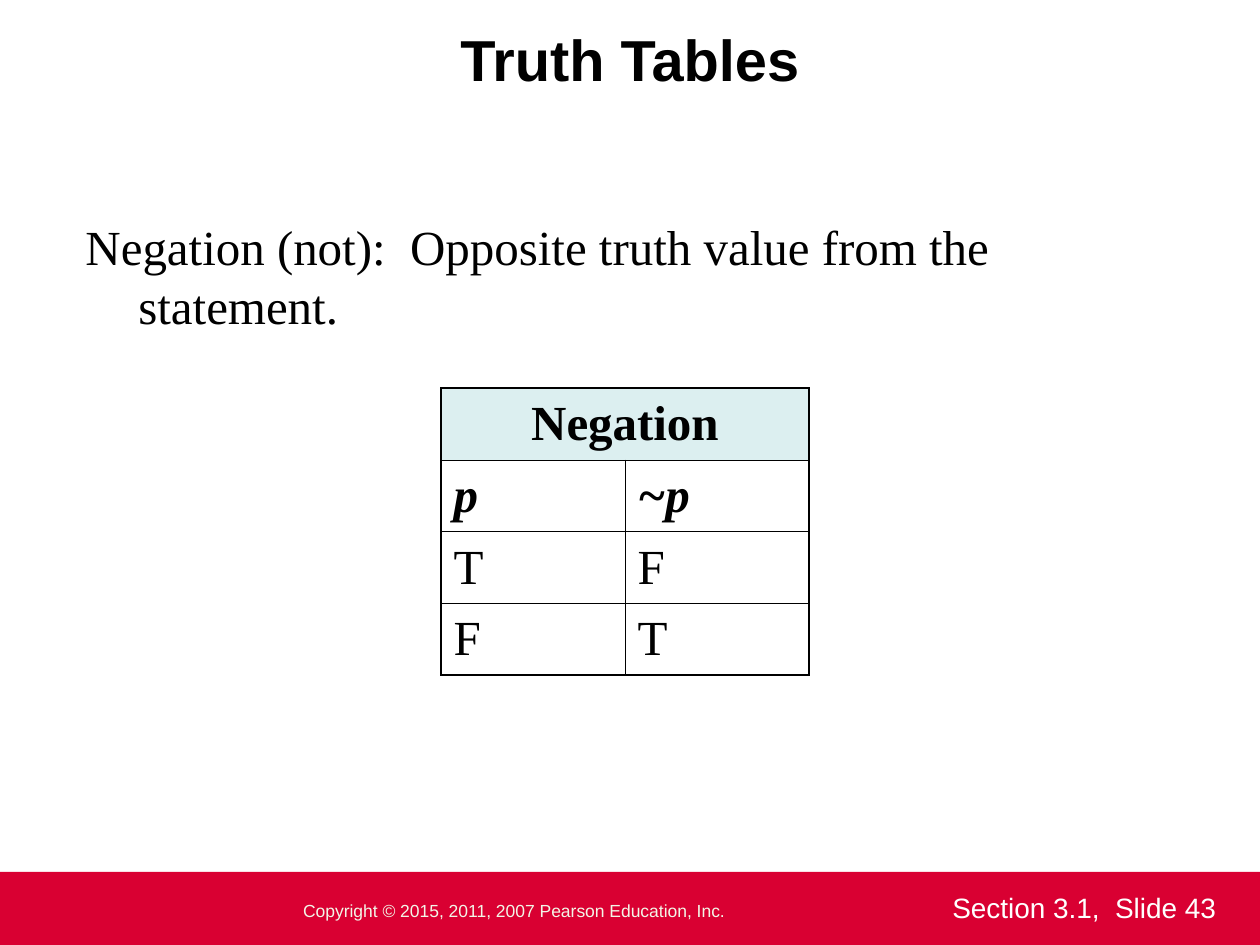
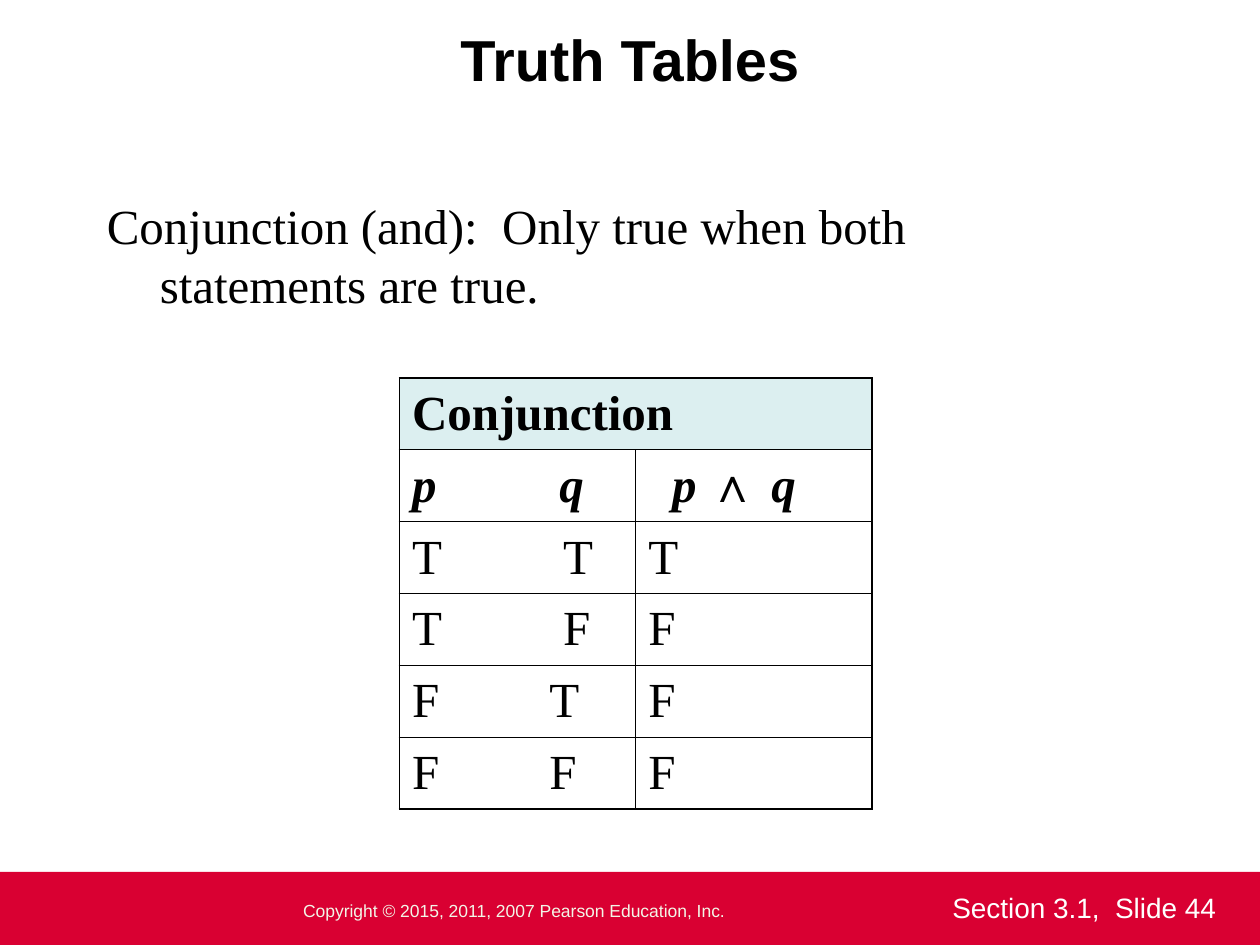
from dataclasses import dataclass

from lxml import etree
from pptx import Presentation
from pptx import util as u
from pptx.dml.color import RGBColor
from pptx.enum import shapes, text
from pptx.oxml import ns


@dataclass(frozen=True)
class Theme:
    band: str = "D90032"
    header: str = "BBE0E3"
    ink: str = "000000"
    white: str = "FFFFFF"
    copyright: str = "F3F5E7"
    sans: str = "Arial"
    serif: str = "Times New Roman"
    title_pt: int = 33
    body_pt: int = 28
    section_pt: int = 16
    copyright_pt: int = 10
    outer_pt: float = 1.08
    inner_pt: float = 0.45


th = Theme()


def style(p, font, size, color, bold=False, italic=False):
    for r in p.runs:
        r.font.name = font
        r.font.size = u.Pt(size)
        r.font.color.rgb = RGBColor.from_string(color)
        r.font.bold = bold
        r.font.italic = italic


def add_text(s, box, content, font, size, color, bold=False):
    sp = s.shapes.add_textbox(*[u.Inches(v) for v in box])
    tf = sp.text_frame
    tf.word_wrap = True
    tf.text = content
    style(tf.paragraphs[0], font, size, color, bold)
    return sp


slides = [
    dict(
        number=43,
        body="Negation (not):  Opposite truth value from the statement.",
        body_box=(0.58, 1.67, 7.75, 2.73),
        table_at=(3.5, 3.08),
        table_width=2.92,
        heading="Negation",
        heading_align=text.PP_ALIGN.CENTER,
        rows=[("p", "~p"), ("T", "F"), ("F", "T")],
    ),
    dict(
        number=44,
        body="Conjunction (and):  Only true when both statements are true.",
        body_box=(0.75, 1.5, 7.92, 1.42),
        table_at=(3.17, 3),
        table_width=3.75,
        heading="Conjunction",
        heading_align=text.PP_ALIGN.LEFT,
        rows=[("p\tq", "p ∧ q"), ("T\tT", "T"), ("T\tF", "F"), ("F\tT", "F"), ("F\tF", "F")],
    ),
]
row_height = 0.57
tab_stops = {"p": 1.17, "T": 1.2, "F": 1.09}

prs = Presentation()
prs.slide_width = u.Inches(10)
prs.slide_height = u.Inches(7.5)

for item in slides:
    s = prs.slides.add_slide(prs.slide_layouts[6])

    band = s.shapes.add_shape(
        shapes.MSO_SHAPE.RECTANGLE, 0, u.Inches(6.92), prs.slide_width, u.Inches(0.58)
    )
    band.shadow.inherit = False
    band.fill.solid()
    band.fill.fore_color.rgb = RGBColor.from_string(th.band)
    band.line.fill.background()

    notice = add_text(
        s, (2, 7.06, 3.75, 0.34), "Copyright © 2015, 2011, 2007 Pearson Education, Inc.",
        th.sans, th.copyright_pt, th.copyright,
    )
    tf = notice.text_frame
    tf.margin_left = tf.margin_right = tf.margin_top = tf.margin_bottom = 0
    tf.vertical_anchor = text.MSO_ANCHOR.MIDDLE
    tf.paragraphs[0].alignment = text.PP_ALIGN.RIGHT

    add_text(
        s, (7.46, 7.02, 2.5, 0.25), f"Section 3.1,  Slide {item['number']}",
        th.sans, th.section_pt, th.white,
    )

    title = add_text(
        s, (0.5, 0.25, 9, 0.42), "Truth Tables", th.sans, th.title_pt, th.ink, bold=True
    )
    title.fill.solid()
    title.fill.fore_color.rgb = RGBColor.from_string(th.white)
    title.text_frame.vertical_anchor = text.MSO_ANCHOR.MIDDLE
    title.text_frame.paragraphs[0].alignment = text.PP_ALIGN.CENTER

    rows = [(item["heading"], "")] + item["rows"]
    left, top = item["table_at"]
    table = s.shapes.add_table(
        len(rows), 2, u.Inches(left), u.Inches(top),
        u.Inches(item["table_width"]), u.Inches(row_height * len(rows)),
    ).table
    table.horz_banding = False
    table.first_row = False
    for row in table.rows:
        row.height = u.Inches(row_height)
    table.cell(0, 0).merge(table.cell(0, 1))

    for i, values in enumerate(rows):
        for j, value in enumerate(values):
            cell = table.cell(i, j)
            cell.vertical_anchor = text.MSO_ANCHOR.MIDDLE
            tcPr = cell._tc.get_or_add_tcPr()
            outer_sides = {
                "L": j == 0, "R": j == 1 or i == 0, "T": i == 0, "B": i == len(rows) - 1
            }
            for side, outer in outer_sides.items():
                width = u.Pt(th.outer_pt if outer else th.inner_pt)
                ln = etree.SubElement(tcPr, ns.qn(f"a:ln{side}"), w=str(width))
                fill = etree.SubElement(ln, ns.qn("a:solidFill"))
                etree.SubElement(fill, ns.qn("a:srgbClr"), val=th.ink)
            if i == 0:
                cell.fill.solid()
                cell.fill.fore_color.rgb = RGBColor.from_string(th.header)
                clr = tcPr.find(".//" + ns.qn("a:srgbClr") + f"[@val='{th.header}']")
                etree.SubElement(clr, ns.qn("a:alpha"), val="50000")
            else:
                cell.fill.background()
            if not value:
                continue

            p = cell.text_frame.paragraphs[0]
            if "\t" in value:
                tabs = etree.SubElement(p._p.get_or_add_pPr(), ns.qn("a:tabLst"))
                stop = u.Inches(tab_stops[value[0]])
                etree.SubElement(tabs, ns.qn("a:tab"), pos=str(stop), algn="l")
            if "∧" in value:
                p._p.get_or_add_pPr().set("marL", str(u.Inches(0.19)))
                for part in ("p ", "∧ ", "q"):
                    p.add_run().text = part
            else:
                p.text = value
            style(p, th.serif, th.body_pt, th.ink, bold=i < 2, italic=i == 1)
            for r in p.runs:
                if "∧" in r.text:
                    r.font.name = th.sans
                    r.font.italic = False
            if i == 0:
                p.alignment = item["heading_align"]

    body = add_text(s, item["body_box"], item["body"], th.serif, th.body_pt, th.ink)
    pPr = body.text_frame.paragraphs[0]._p.get_or_add_pPr()
    pPr.set("marL", str(u.Inches(0.42)))
    pPr.set("indent", str(-u.Inches(0.42)))

prs.save("out.pptx")
